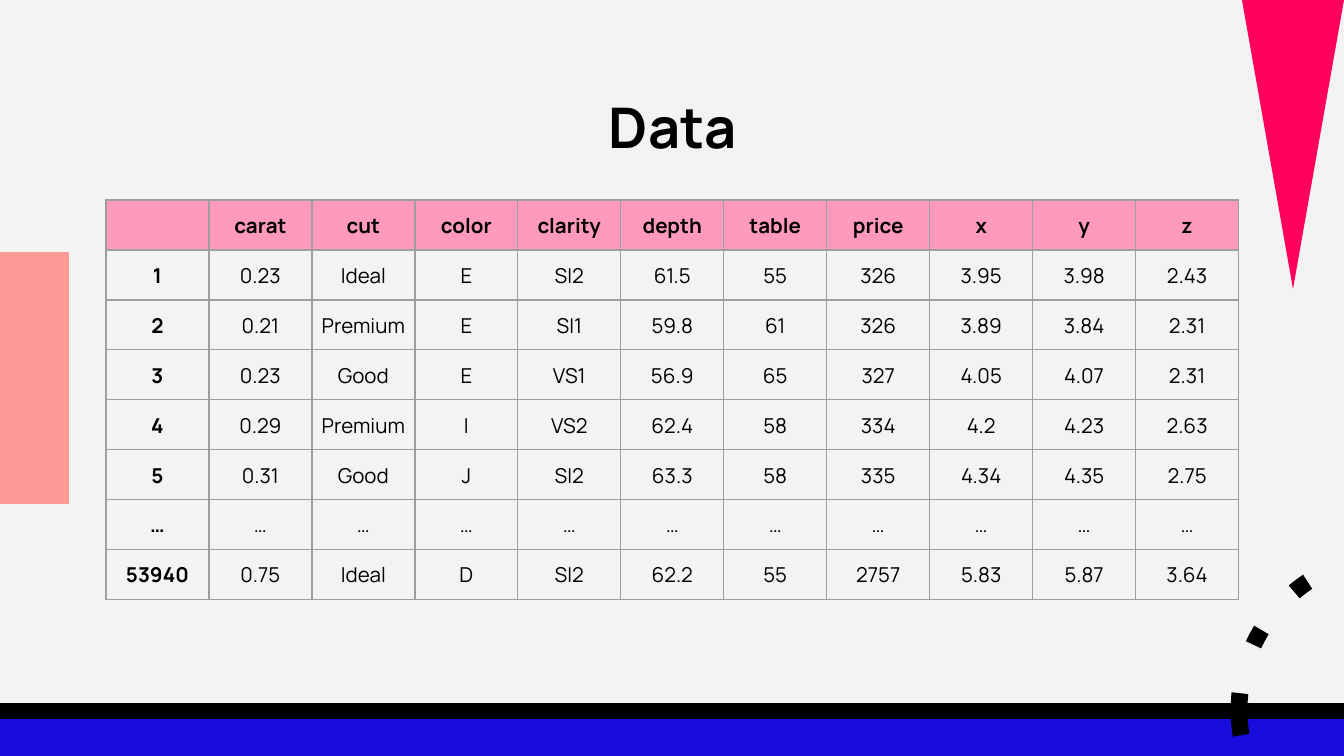
from lxml import etree
from pptx import Presentation
from pptx.dml.color import RGBColor
from pptx.enum.dml import MSO_LINE
from pptx.enum.shapes import MSO_SHAPE
from pptx.enum.text import MSO_ANCHOR, PP_ALIGN
from pptx.oxml.ns import qn
from pptx.util import Pt

EMU_PER_PX = 914400 / 134.4
RECT, OVAL, TRIANGLE = MSO_SHAPE.RECTANGLE, MSO_SHAPE.OVAL, MSO_SHAPE.ISOSCELES_TRIANGLE
MIDDLE, CENTER, DOT = MSO_ANCHOR.MIDDLE, PP_ALIGN.CENTER, MSO_LINE.ROUND_DOT
FONT = "Manrope"
BLACK, PAPER, BLUE = "000000", "F3F3F3", "190DDE"
RED, SALMON, PINK, GREY = "FF005C", "FC9B96", "FF99BE", "9E9E9E"

HEADER = ["", "carat", "cut", "color", "clarity", "depth", "table", "price", "x", "y", "z"]
DIAMONDS = [
    ["1", "0.23", "Ideal", "E", "SI2", "61.5", "55", "326", "3.95", "3.98", "2.43"],
    ["2", "0.21", "Premium", "E", "SI1", "59.8", "61", "326", "3.89", "3.84", "2.31"],
    ["3", "0.23", "Good", "E", "VS1", "56.9", "65", "327", "4.05", "4.07", "2.31"],
    ["4", "0.29", "Premium", "I", "VS2", "62.4", "58", "334", "4.2", "4.23", "2.63"],
    ["5", "0.31", "Good", "J", "SI2", "63.3", "58", "335", "4.34", "4.35", "2.75"],
    ["…"] * len(HEADER),
    ["53940", "0.75", "Ideal", "D", "SI2", "62.2", "55", "2757", "5.83", "5.87", "3.64"],
]


def px(n):
    return round(n * EMU_PER_PX)


def rgb(color):
    return RGBColor.from_string(color)


def write(tf, text, size=11, bold=False, color=BLACK, align=CENTER):
    p = tf.paragraphs[0]
    p.alignment = align
    p.font.size = Pt(size)
    if text:
        r = p.add_run()
        r.text = text
        r.font.name, r.font.size, r.font.bold = FONT, Pt(size), bold
        r.font.color.rgb = rgb(color)


def set_margins(box, left, top, right, bottom):
    box.margin_left, box.margin_top = px(left), px(top)
    box.margin_right, box.margin_bottom = px(right), px(bottom)


def paint(fill, color):
    if color:
        fill.solid()
        fill.fore_color.rgb = rgb(color)
    else:
        fill.background()


def add_borders(cell, color, width):
    tcPr = cell._tc.get_or_add_tcPr()
    for side in ("a:lnL", "a:lnR", "a:lnT", "a:lnB"):
        ln = etree.SubElement(tcPr, qn(side), w=str(Pt(width)))
        fill = etree.SubElement(ln, qn("a:solidFill"))
        etree.SubElement(fill, qn("a:srgbClr"), val=color)


class Deck:
    def __init__(self, width, height):
        self.prs = Presentation()
        self.prs.slide_width, self.prs.slide_height = px(width), px(height)
        self.s = None

    def slide(self, background):
        self.s = self.prs.slides.add_slide(self.prs.slide_layouts[6])
        paint(self.s.background.fill, background)

    def shape(self, kind, x, y, w, h, fill=None, line=None, width=9, dotted=False, rotation=0):
        sp = self.s.shapes.add_shape(kind, px(x), px(y), px(w), px(h))
        sp.shadow.inherit = False
        sp.rotation = rotation
        paint(sp.fill, fill)
        paint(sp.line.fill, line)
        if line:
            sp.line.width = Pt(width)
        if dotted:
            sp.line.dash_style = DOT
            sp.line._ln.find(qn("a:prstDash")).set("val", "dot")

    def text(self, x, y, w, h, text, **style):
        tf = self.s.shapes.add_textbox(px(x), px(y), px(w), px(h)).text_frame
        tf.word_wrap = True
        tf.vertical_anchor = MIDDLE
        set_margins(tf, 13, 13, 13, 13)
        write(tf, text, **style)

    def table(self, x, y, col_width, row_height, rows):
        n_rows, n_cols = len(rows), len(rows[0])
        frame = self.s.shapes.add_table(
            n_rows, n_cols, px(x), px(y), px(col_width * n_cols), px(row_height * n_rows))
        table = frame.table
        table.horz_banding = False
        for col in table.columns:
            col.width = px(col_width)
        for i, values in enumerate(rows):
            table.rows[i].height = px(row_height)
            for j, value in enumerate(values):
                cell = table.cell(i, j)
                cell.vertical_anchor = MIDDLE
                set_margins(cell, 1, 1, 1, 0)
                write(cell.text_frame, value, bold=i == 0 or j == 0)
                add_borders(cell, GREY, 0.75)
                paint(cell.fill, PINK if i == 0 else None)


def main():
    deck = Deck(1344, 756)
    deck.slide(PAPER)
    deck.shape(RECT, -22, 711, 1394, 55, fill=BLUE, line=BLACK)
    deck.shape(OVAL, 1239, 556, 308, 308, line=BLACK, dotted=True)
    deck.shape(TRIANGLE, 1242, 0, 102, 289, fill=RED, rotation=180)
    deck.shape(RECT, 0, 252, 69, 252, fill=SALMON)
    deck.text(106, 79, 1134, 95, "Data", size=30, bold=True)
    deck.table(106, 200, 103, 50, [HEADER] + DIAMONDS)
    deck.prs.save("out.pptx")


if __name__ == "__main__":
    main()
